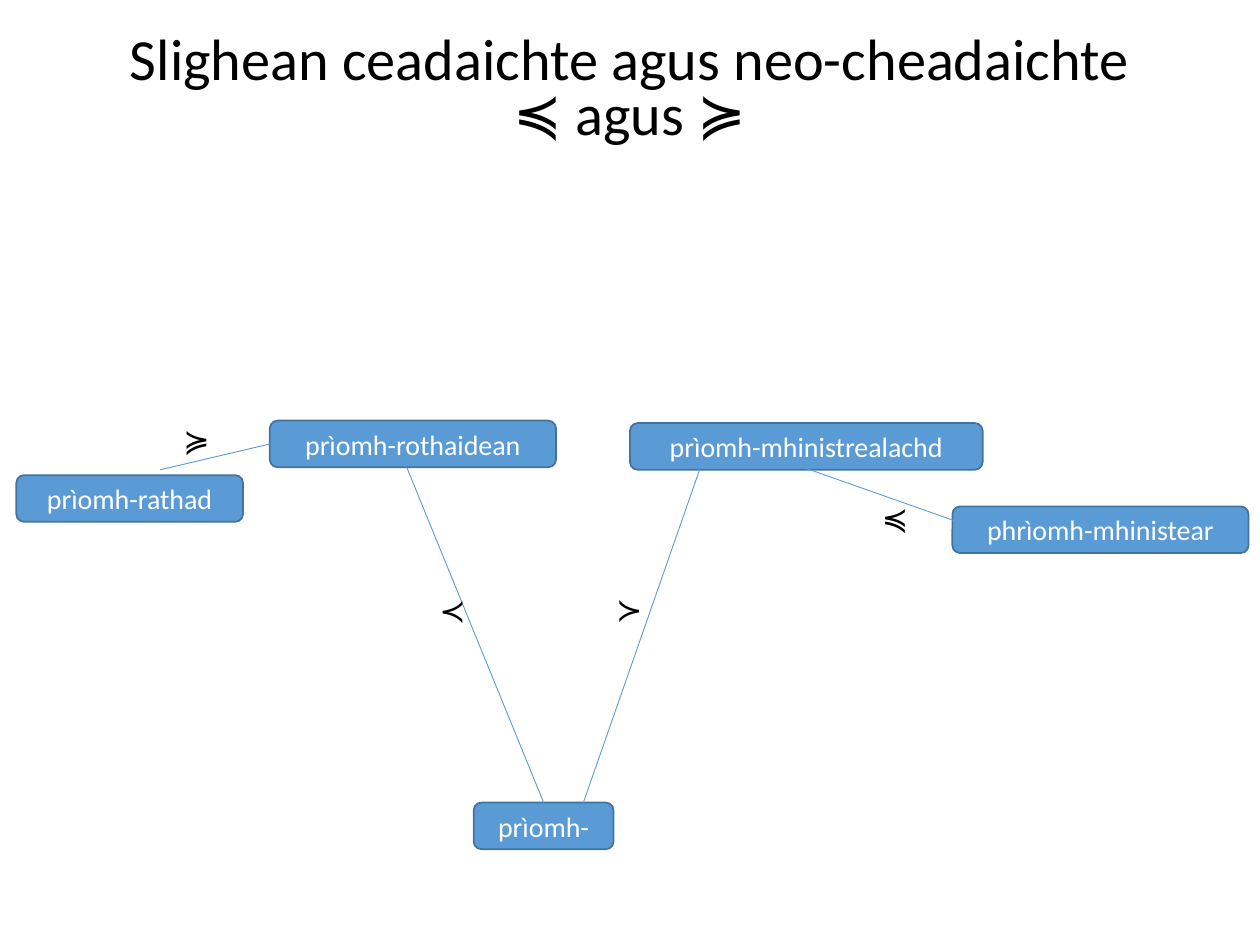
import pptx
import pptx.util
import pptx.dml.color
import pptx.enum.shapes
import pptx.enum.text
import pptx.oxml
from pptx.util import Cm

TITLE = ["Slighean ceadaichte agus neo-cheadaichte", "≼ agus ≽"]
WORD_HEIGHT = 0.94
WORDS = [
    ("prìomh-mhinistrealachd", 12.7, 8.53, 7.11),
    ("prìomh-", 9.55, 16.18, 2.82),
    ("prìomh-rothaidean", 5.44, 8.48, 5.77),
    ("phrìomh-mhinistear", 19.2, 10.21, 5.97),
    ("prìomh-rathad", 0.33, 9.58, 4.57),
]
PATHS = [
    ((8.2, 9.42), (10.97, 16.18), ("prìomh-", 0)),
    ((11.76, 16.18), (14.12, 9.42), None),
    ((16.13, 9.4), (19.79, 10.69), None),
    ((3.23, 9.47), (5.44, 8.95), ("prìomh-rothaidean", 1)),
]
RELATIONS = [
    ("≺", 8.61, 11.79),
    ("≼", 17.53, 9.93),
    ("≻", 12.17, 11.76),
    ("≽", 3.45, 8.36),
]


def color(value):
    return pptx.dml.color.RGBColor.from_string(value)


def write(shape, lines, size, ink, align, anchor, wrap=True):
    frame = shape.text_frame
    frame.word_wrap = wrap
    frame.vertical_anchor = anchor
    para = frame.paragraphs[0]
    para.alignment = align
    for index, line in enumerate(lines):
        if index:
            para.add_line_break()
        span = para.add_run()
        span.text = line
        span.font.size = pptx.util.Pt(size)
        span.font.name = "Calibri"
        span.font.color.rgb = color(ink)
    return para


def add_word(page, text, left, top, width):
    box = page.shapes.add_shape(
        pptx.enum.shapes.MSO_SHAPE.ROUNDED_RECTANGLE,
        Cm(left), Cm(top), Cm(width), Cm(WORD_HEIGHT))
    box.shadow.inherit = False
    box.fill.solid()
    box.fill.fore_color.rgb = color("5B9BD5")
    box.line.color.rgb = color("43729D")
    box.line.width = pptx.util.Pt(1)
    write(box, [text], 16, "FFFFFF", CENTER, MIDDLE)
    return box


def add_path(page, start, end, joint, boxes):
    line = page.shapes.add_connector(
        pptx.enum.shapes.MSO_CONNECTOR.STRAIGHT, *map(Cm, start + end))
    line.line.color.rgb = color("5B9BD5")
    line.line.width = pptx.util.Pt(0.5)
    line._element.spPr.append(pptx.oxml.parse_xml(
        '<a:effectLst xmlns:a="http://schemas.openxmlformats.org/drawingml/2006/main"/>'))
    if joint:
        word, side = joint
        line.end_connect(boxes[word], side)


CENTER = pptx.enum.text.PP_ALIGN.CENTER
LEFT = pptx.enum.text.PP_ALIGN.LEFT
MIDDLE = pptx.enum.text.MSO_ANCHOR.MIDDLE
TOP = pptx.enum.text.MSO_ANCHOR.TOP

deck = pptx.Presentation()
deck.slide_width, deck.slide_height = Cm(25.4), Cm(19.05)
page = deck.slides.add_slide(deck.slide_layouts[6])

title = page.shapes.add_textbox(0, 0, deck.slide_width, Cm(3.68))
write(title, TITLE, 33.3, "000000", CENTER, MIDDLE).line_spacing = 0.8

boxes = {word[0]: add_word(page, *word) for word in WORDS}
for start, end, joint in PATHS:
    add_path(page, start, end, joint, boxes)
for symbol, left, top in RELATIONS:
    label = page.shapes.add_textbox(Cm(left), Cm(top), Cm(1.04), Cm(1.02))
    write(label, [symbol], 18, "000000", LEFT, TOP, wrap=False)

deck.save("out.pptx")
